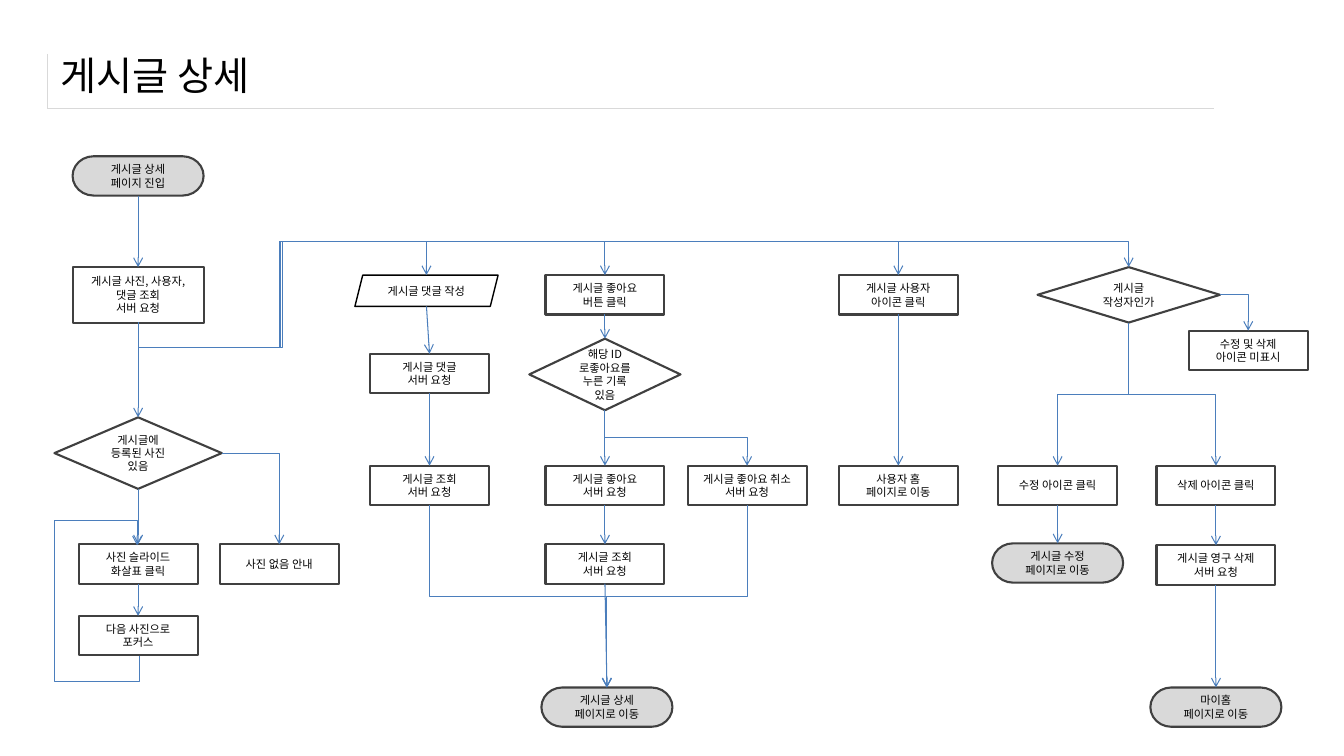
from lxml import etree
from pptx import Presentation
from pptx.dml.color import RGBColor
from pptx.enum.shapes import MSO_CONNECTOR, MSO_SHAPE
from pptx.enum.text import MSO_ANCHOR, PP_ALIGN
from pptx.oxml.ns import qn
from pptx.util import Pt

PX = 9144
FONT = "Noto Sans CJK KR"
COLORS = {"black": "000000", "white": "FFFFFF", "gray": "D9D9D9",
          "outline": "404040", "arrow": "4B7EBC"}
PROCESS = MSO_SHAPE.FLOWCHART_PROCESS
TERMINATOR = MSO_SHAPE.FLOWCHART_TERMINATOR
DECISION = MSO_SHAPE.FLOWCHART_DECISION
PARALLELOGRAM = MSO_SHAPE.PARALLELOGRAM
STRAIGHT, ELBOW = MSO_CONNECTOR.STRAIGHT, MSO_CONNECTOR.ELBOW
MIDDLE, CENTER, LEFT_ALIGN = MSO_ANCHOR.MIDDLE, PP_ALIGN.CENTER, PP_ALIGN.LEFT
TOP, LEFT, BOTTOM, RIGHT = range(4)


def color(name):
    """Return a named colour."""
    return RGBColor.from_string(COLORS[name])


def write_text(shape, text, size, alignment):
    """Write middle-anchored text, one paragraph per line."""
    frame = shape.text_frame
    frame.text = text
    frame.word_wrap = True
    frame.vertical_anchor = MIDDLE
    for paragraph in frame.paragraphs:
        paragraph.alignment = alignment
        for run in paragraph.runs:
            run.font.size = Pt(size)
            run.font.name = FONT
            run.font.color.rgb = color("black")
            east_asian = etree.SubElement(run.font._element, qn("a:ea"))
            east_asian.set("typeface", FONT)


def add_title(slide, text):
    """Add the title over a one-cell table with a left and a bottom rule."""
    frame = slide.shapes.add_table(1, 1, 47 * PX, 54 * PX, 1156 * PX, 53 * PX)
    frame.table.first_row = False
    frame.table.horz_banding = False
    cell = frame.table.cell(0, 0)
    properties = cell._tc.get_or_add_tcPr()
    for side in ("a:lnL", "a:lnB"):
        border = etree.SubElement(properties, qn(side), w=str(Pt(0.25)))
        fill = etree.SubElement(border, qn("a:solidFill"))
        etree.SubElement(fill, qn("a:srgbClr"), val=COLORS["gray"])
    cell.fill.background()
    box = slide.shapes.add_textbox(50 * PX, 41 * PX, 1249 * PX, 67 * PX)
    write_text(box, text, 28, LEFT_ALIGN)


def add_node(slide, kind, center_x, top, text, width=118, height=39):
    """Add a flowchart node centred on a column."""
    left = center_x - width // 2
    shape = slide.shapes.add_shape(kind, left * PX, top * PX, width * PX, height * PX)
    shape.shadow.inherit = False
    shape.fill.solid()
    shape.fill.fore_color.rgb = color("gray" if kind == TERMINATOR else "white")
    is_input = kind == PARALLELOGRAM
    shape.line.color.rgb = color("black" if is_input else "outline")
    shape.line.width = Pt(1 if is_input else 1.5)
    write_text(shape, text, 8, CENTER)
    return shape


def add_terminator(slide, center_x, top, text):
    """Add a start or end node."""
    return add_node(slide, TERMINATOR, center_x, top, text, 130)


def port(shape, site):
    """Return the middle of a side of a shape."""
    x = shape.left + shape.width * (0, 0, 1, 2)[site] // 2 if site in (LEFT, RIGHT) \
        else shape.left + shape.width // 2
    y = shape.top + shape.height * (0, 1, 2, 1)[site] // 2
    return x, y


def add_arrow(slide, kind, begin, end):
    """Add a styled arrow between two points."""
    connector = slide.shapes.add_connector(kind, *begin, *end)
    connector.line.color.rgb = color("arrow")
    connector.line.width = Pt(0.75)
    properties = connector.element.spPr
    etree.SubElement(properties.find(qn("a:ln")), qn("a:tailEnd"), type="arrow")
    etree.SubElement(properties, qn("a:effectLst"))
    return connector


def bend(connector, begin, end, bends):
    """Route an elbow vertically first through alternating y and x positions."""
    delta_x, delta_y = end[0] - begin[0], end[1] - begin[1]
    width, height = abs(delta_y), abs(delta_x)
    connector.left = (begin[0] + end[0] - width) // 2
    connector.top = (begin[1] + end[1] - height) // 2
    connector.width, connector.height = width, height
    transform = connector.element.spPr.find(qn("a:xfrm"))
    transform.set("rot", "5400000")
    transform.set("flipH", str(int(delta_y < 0)))
    transform.set("flipV", str(int(delta_x > 0)))
    geometry = connector.element.spPr.find(qn("a:prstGeom"))
    geometry.set("prst", f"bentConnector{len(bends) + 2}")
    guides = geometry.find(qn("a:avLst"))
    if guides is None:
        guides = etree.SubElement(geometry, qn("a:avLst"))
    for index, position in enumerate(bends):
        axis = 1 - index % 2
        share = (position * PX - begin[axis]) / (delta_y if axis else delta_x)
        etree.SubElement(guides, qn("a:gd"), name=f"adj{index + 1}",
                         fmla=f"val {round(share * 100000)}")


def join(slide, source, target, bends=()):
    """Join the bottom of one node to the top of another."""
    begin, end = port(source, BOTTOM), port(target, TOP)
    connector = add_arrow(slide, ELBOW if bends else STRAIGHT, begin, end)
    connector.begin_connect(source, BOTTOM)
    connector.end_connect(target, TOP)
    if bends:
        bend(connector, begin, end, bends)


def join_side(slide, source, target):
    """Join the right of one node to the top of another with one corner."""
    connector = add_arrow(slide, ELBOW, port(source, RIGHT), port(target, TOP))
    connector.begin_connect(source, RIGHT)
    connector.end_connect(target, TOP)
    connector.element.spPr.find(qn("a:prstGeom")).set("prst", "bentConnector2")


def main():
    """Build the post detail flowchart."""
    presentation = Presentation()
    presentation.slide_width, presentation.slide_height = 1333 * PX, 750 * PX
    slide = presentation.slides.add_slide(presentation.slide_layouts[6])
    add_title(slide, "게시글 상세")

    enter = add_terminator(slide, 137, 155, "게시글 상세\n페이지 진입")
    fetch = add_node(slide, PROCESS, 137, 265,
                     "게시글 사진, 사용자, 댓글 조회\n서버 요청", 130, 55)
    has_photo = add_node(slide, DECISION, 137, 414, "게시글에\n등록된 사진 있음", 166, 71)
    slide_photo = add_node(slide, PROCESS, 137, 540, "사진 슬라이드\n화살표 클릭")
    next_photo = add_node(slide, PROCESS, 137, 611, "다음 사진으로\n포커스")
    no_photo = add_node(slide, PROCESS, 277, 540, "사진 없음 안내")

    comment = add_node(slide, PARALLELOGRAM, 423, 273, "게시글 댓글 작성", 142, 31)
    send_comment = add_node(slide, PROCESS, 426, 351, "게시글 댓글\n서버 요청")
    reload_comment = add_node(slide, PROCESS, 426, 462, "게시글 조회\n서버 요청")

    like = add_node(slide, PROCESS, 600, 273, "게시글 좋아요\n버튼 클릭")
    has_like = add_node(slide, DECISION, 600, 336,
                        "해당 ID로좋아요를 누른 기록 있음", 150, 71)
    send_like = add_node(slide, PROCESS, 600, 462, "게시글 좋아요\n서버 요청")
    cancel_like = add_node(slide, PROCESS, 741, 462, "게시글 좋아요 취소\n서버 요청")
    reload_like = add_node(slide, PROCESS, 600, 540, "게시글 조회\n서버 요청")
    detail = add_terminator(slide, 602, 682, "게시글 상세\n페이지로 이동")

    user = add_node(slide, PROCESS, 891, 273, "게시글 사용자\n아이콘 클릭")
    user_home = add_node(slide, PROCESS, 891, 462, "사용자 홈\n페이지로 이동")

    is_author = add_node(slide, DECISION, 1119, 265, "게시글\n작성자인가", 181, 55)
    hide_icons = add_node(slide, PROCESS, 1238, 328, "수정 및 삭제\n아이콘 미표시")
    edit = add_node(slide, PROCESS, 1049, 462, "수정 아이콘 클릭")
    edit_page = add_terminator(slide, 1049, 539, "게시글 수정\n페이지로 이동")
    delete = add_node(slide, PROCESS, 1206, 462, "삭제 아이콘 클릭")
    send_delete = add_node(slide, PROCESS, 1206, 541, "게시글 영구 삭제\n서버 요청")
    my_home = add_terminator(slide, 1206, 682, "마이홈\n페이지로 이동")

    chains = (
        (enter, fetch, has_photo, slide_photo, next_photo),
        (send_comment, reload_comment),
        (like, has_like, send_like, reload_like, detail),
        (user, user_home),
        (edit, edit_page),
        (delete, send_delete, my_home),
    )
    for chain in chains:
        for source, target in zip(chain, chain[1:]):
            join(slide, source, target)
    to_comment = add_arrow(slide, STRAIGHT, port(comment, BOTTOM), port(send_comment, TOP))
    to_comment.end_connect(send_comment, TOP)

    for target, lane in ((comment, 277), (like, 278), (user, 278), (is_author, 280)):
        join(slide, fetch, target, (345, lane, 240))
    for source, target, level in ((has_like, cancel_like, 434),
                                  (reload_comment, detail, 592),
                                  (cancel_like, detail, 592),
                                  (is_author, edit, 391),
                                  (is_author, delete, 391)):
        join(slide, source, target, (level,))
    join_side(slide, has_photo, no_photo)
    join_side(slide, is_author, hide_icons)

    loop_begin, loop_end = (138 * PX, 651 * PX), (136 * PX, 541 * PX)
    loop = add_arrow(slide, ELBOW, loop_begin, loop_end)
    bend(loop, loop_begin, loop_end, (676, 54, 516))
    presentation.save("out.pptx")


if __name__ == "__main__":
    main()
